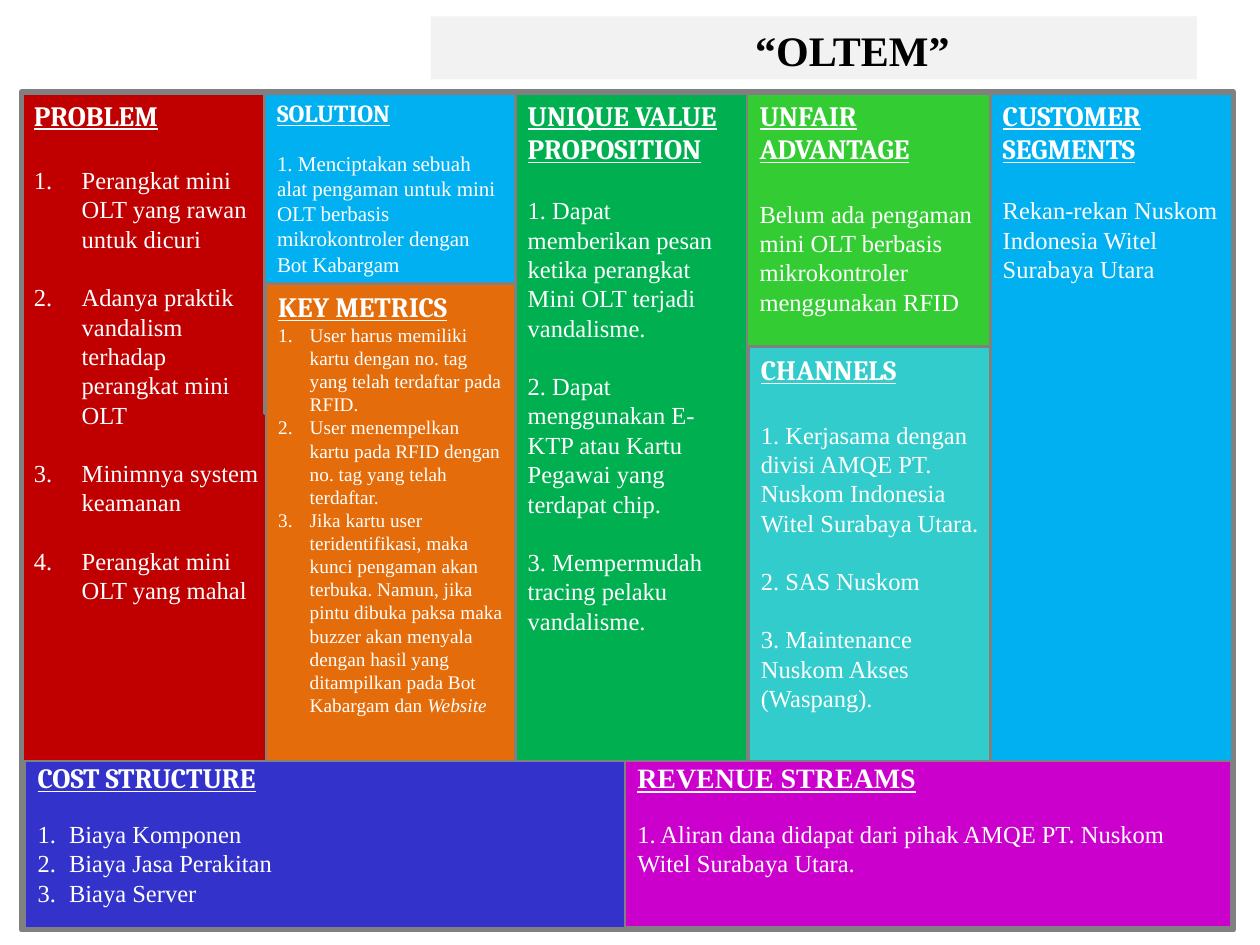
from pptx import Presentation
from pptx.dml.color import RGBColor
from pptx.enum.shapes import MSO_SHAPE
from pptx.enum.text import MSO_ANCHOR, MSO_AUTO_SIZE, PP_ALIGN
from pptx.oxml.ns import qn
from pptx.util import Inches, Pt
from lxml import etree

COLORS = {
    "title band": "F2F2F2", "black": "000000", "white": "FFFFFF", "border": "808080",
    "red": "C00000", "sky": "00B0F0", "orange": "E46C0A", "green": "00B050",
    "lime": "33CC33", "teal": "33CCCC", "indigo": "3333CC", "magenta": "CC00CC",
}
SERIF, HEADING_FONT = "Times New Roman", "Cambria"

TITLE = "“OLTEM”"
TITLE_BOX = (3.42, 0.13, 9.5, 0.63)

# Column edges and row edges of the canvas
LEFT, SOLVE, VALUE, EDGE, SEGMENT, RIGHT = 0.17, 2.1, 4.09, 5.93, 7.86, 9.79
TOP, MAIN_BOTTOM, FOOT_TOP, BOTTOM = 0.73, 6.04, 5.99, 7.38

# Boxes are (left, top, right, bottom); gap is the space under the heading and
# spacing the space between items, in points. Indent makes a numbered list.
DEFAULTS = {"heading_font": HEADING_FONT, "heading_size": 16, "size": 14,
            "gap": 17, "spacing": 0, "indent": 0}
BLOCKS = [
    {"heading": "COST STRUCTURE", "box": (0.2, FOOT_TOP, 4.96, 7.37), "color": "indigo",
     "gap": 14, "indent": 0.25,
     "items": ["Biaya Komponen", "Biaya Jasa Perakitan", "Biaya Server"]},
    {"heading": "REVENUE STREAMS", "box": (4.96, FOOT_TOP, 9.77, 7.36), "color": "magenta",
     "heading_font": SERIF, "gap": 14,
     "items": ["1. Aliran dana didapat dari pihak AMQE PT. Nuskom Witel Surabaya Utara."]},
    {"heading": "PROBLEM", "box": (LEFT, TOP, 2.15, MAIN_BOTTOM), "color": "red",
     "gap": 19, "spacing": 16.5, "indent": 0.38,
     "items": ["Perangkat mini OLT yang rawan untuk dicuri",
               "Adanya praktik vandalism terhadap perangkat mini OLT",
               "Minimnya system keamanan",
               "Perangkat mini OLT yang mahal"]},
    {"heading": "SOLUTION", "box": (SOLVE, TOP, VALUE, 3.28), "color": "sky",
     "heading_size": 14, "size": 12, "gap": 13,
     "items": ["1. Menciptakan sebuah alat pengaman untuk mini OLT berbasis "
               "mikrokontroler dengan Bot Kabargam"]},
    {"heading": "KEY METRICS", "box": (2.11, 2.25, VALUE, MAIN_BOTTOM), "color": "orange",
     "size": 11, "gap": 0, "indent": 0.25,
     "items": ["User harus memiliki kartu dengan no. tag yang telah terdaftar pada RFID.",
               "User menempelkan kartu pada RFID dengan no. tag yang telah terdaftar.",
               "Jika kartu user teridentifikasi, maka kunci pengaman akan terbuka. "
               "Namun, jika pintu dibuka paksa maka buzzer akan menyala dengan hasil "
               "yang ditampilkan pada Bot Kabargam dan "],
     "italic_ending": "Website"},
    {"heading": "UNIQUE VALUE PROPOSITION", "box": (VALUE, TOP, EDGE, MAIN_BOTTOM),
     "color": "green", "spacing": 16.5,
     "items": ["1. Dapat memberikan pesan ketika perangkat Mini OLT terjadi vandalisme.",
               "2. Dapat menggunakan E-KTP atau Kartu Pegawai yang terdapat chip.",
               "3. Mempermudah tracing pelaku vandalisme."]},
    {"heading": "UNFAIR ADVANTAGE", "box": (EDGE, TOP, SEGMENT, 2.75), "color": "lime",
     "gap": 19,
     "items": ["Belum ada pengaman mini OLT berbasis mikrokontroler menggunakan RFID"]},
    {"heading": "CHANNELS", "box": (5.94, 2.75, 7.87, MAIN_BOTTOM), "color": "teal",
     "gap": 19, "spacing": 16.5,
     "items": ["1. Kerjasama dengan divisi AMQE PT. Nuskom Indonesia Witel Surabaya Utara.",
               "2. SAS Nuskom",
               "3. Maintenance Nuskom Akses (Waspang)."]},
    {"heading": "CUSTOMER SEGMENTS", "box": (SEGMENT, TOP, RIGHT, MAIN_BOTTOM),
     "color": "sky",
     "items": ["Rekan-rekan Nuskom Indonesia Witel Surabaya Utara"]},
]


def rgb(name):
    return RGBColor.from_string(COLORS[name])


def bounds(box):
    """Turn (left, top, right, bottom) into left, top, width, height."""
    left, top, right, bottom = box
    return [Inches(n) for n in (left, top, right - left, bottom - top)]


def set_font(paragraph, name, size, color, bold=False, underline=False):
    font = paragraph.font
    font.name, font.size = name, Pt(size)
    font.bold, font.underline = bold, underline
    font.color.rgb = rgb(color)


def set_indent(paragraph, margin, first_line):
    properties = paragraph._p.get_or_add_pPr()
    properties.set("marL", str(Inches(margin)))
    properties.set("indent", str(Inches(first_line)))
    return properties


def number(paragraph, indent):
    properties = set_indent(paragraph, indent, -indent)
    numbering = etree.Element(qn("a:buAutoNum"), type="arabicPeriod")
    font_defaults = properties.find(qn("a:defRPr"))
    font_defaults.addprevious(numbering)


def add_frame(slide, box, line_width):
    frame = slide.shapes.add_shape(MSO_SHAPE.ROUNDED_RECTANGLE, *bounds(box))
    frame.adjustments[0] = 0
    frame.shadow.inherit = False
    frame.fill.background()
    frame.line.color.rgb = rgb("border")
    frame.line.width = Pt(line_width)
    return frame


def add_block(slide, block):
    block = {**DEFAULTS, **block}
    frame = add_frame(slide, block["box"], 1.5)
    frame.fill.solid()
    frame.fill.fore_color.rgb = rgb(block["color"])
    text = frame.text_frame
    text.word_wrap = True
    text.vertical_anchor = MSO_ANCHOR.TOP

    heading = text.paragraphs[0]
    heading.text = block["heading"]
    heading.alignment = PP_ALIGN.LEFT
    heading.space_after = Pt(block["gap"])
    set_font(heading, block["heading_font"], block["heading_size"], "white", True, True)

    for position, content in enumerate(block["items"]):
        item = text.add_paragraph()
        item.text = content
        item.alignment = PP_ALIGN.LEFT
        item.space_before = Pt(block["spacing"] if position else 0)
        set_font(item, SERIF, block["size"], "white")
        if block["indent"]:
            number(item, block["indent"])
    if "italic_ending" in block:
        ending = item.add_run()
        ending.text = block["italic_ending"]
        ending.font.italic = True


def add_title(slide):
    title = slide.shapes.title
    title.left, title.top, title.width, title.height = bounds(TITLE_BOX)
    title.fill.solid()
    title.fill.fore_color.rgb = rgb("title band")
    text = title.text_frame
    text.text = TITLE
    text.auto_size = MSO_AUTO_SIZE.NONE
    text.vertical_anchor = MSO_ANCHOR.MIDDLE
    name = text.paragraphs[0]
    name.alignment = PP_ALIGN.CENTER
    name.line_spacing = 1.07
    name.space_after = Pt(8)
    set_font(name, SERIF, 24, "black", True)
    set_indent(name, 0.62, -0.01)


def main():
    deck = Presentation()
    deck.slide_width, deck.slide_height = Inches(10), Inches(7.5)
    slide = deck.slides.add_slide(deck.slide_layouts[5])
    add_title(slide)
    for block in BLOCKS:
        add_block(slide, block)
    add_frame(slide, (LEFT, TOP, RIGHT, BOTTOM), 3)
    deck.save("out.pptx")


if __name__ == "__main__":
    main()
